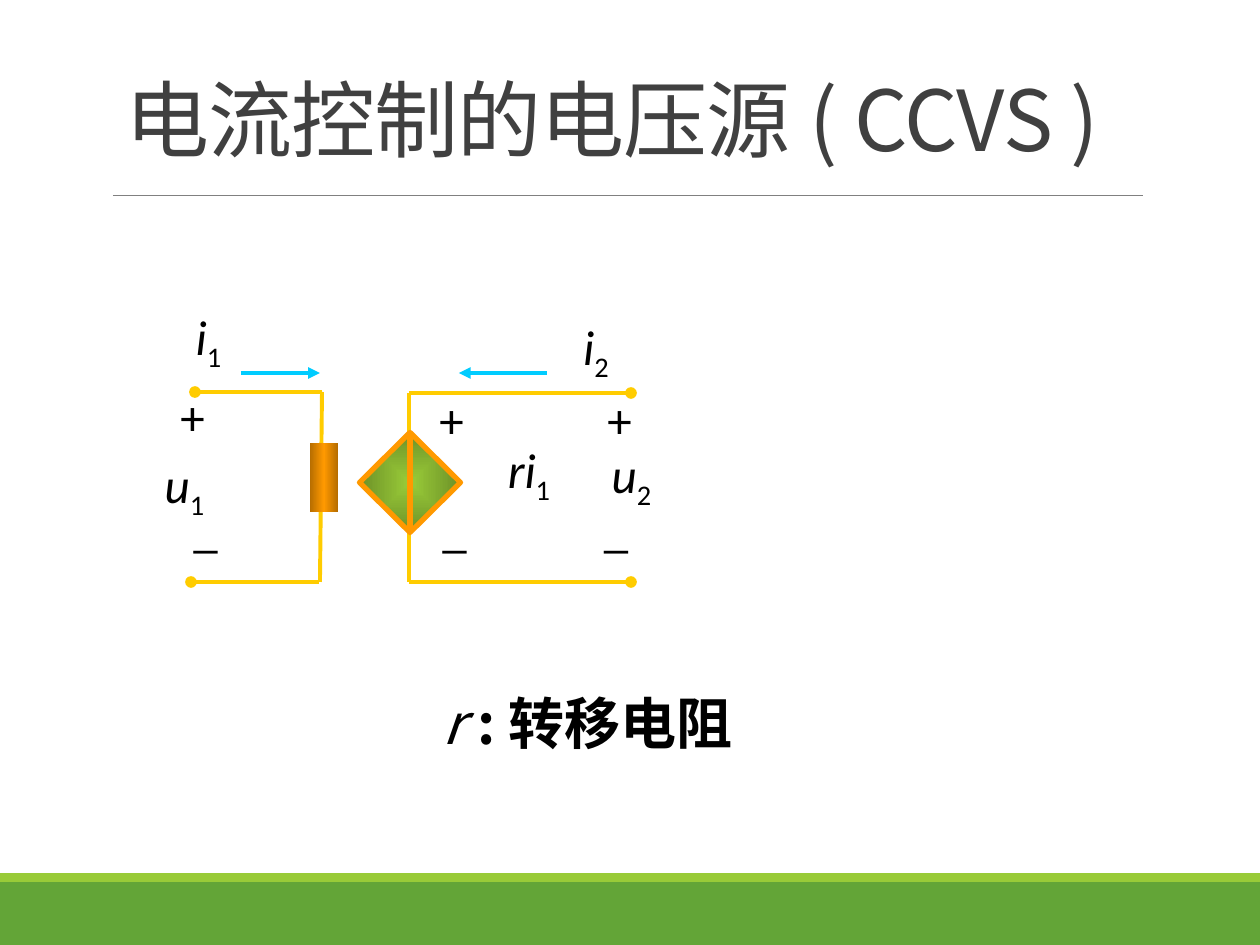
"""Build a slide showing the circuit of a current-controlled voltage source."""
from lxml import etree
from pptx import Presentation
from pptx.dml.color import RGBColor
from pptx.enum.shapes import MSO_CONNECTOR, MSO_SHAPE
from pptx.enum.text import MSO_ANCHOR, PP_ALIGN
from pptx.oxml import parse_xml
from pptx.oxml.ns import nsdecls, qn
from pptx.util import Pt

PX = 914400 / 126
LATIN = "Calibri"
CHINESE = "Noto Sans CJK SC"
BLACK = RGBColor(0, 0, 0)
TITLE_GREY = RGBColor(0x40, 0x40, 0x40)
RULE_GREY = RGBColor(0x80, 0x80, 0x80)
GREEN = RGBColor(0x63, 0xA5, 0x37)
LIME = RGBColor(0x99, 0xCB, 0x38)
DARK_LIME = RGBColor(0x6D, 0x91, 0x28)
YELLOW = RGBColor(0xFF, 0xCC, 0x00)
CYAN = RGBColor(0x00, 0xCC, 0xFF)
ORANGE = RGBColor(0xFF, 0x99, 0x00)
BROWN = RGBColor(0xB6, 0x6D, 0x00)


def emu(*lengths):
    return [round(length * PX) for length in lengths]


def add_text(frame, runs, size, font, color, align, anchor):
    box = page.shapes.add_textbox(*emu(*frame))
    box.text_frame.word_wrap = True
    box.text_frame.vertical_anchor = anchor
    para = box.text_frame.paragraphs[0]
    para.alignment = align
    para.font.size = Pt(size)
    para.font.name = font
    para.font.color.rgb = color
    for text, style in runs:
        span = para.add_run()
        span.text = text
        properties = span._r.get_or_add_rPr()
        for name, value in style.items():
            properties.set(name, value)
        for tag, face in (("a:latin", font), ("a:ea", CHINESE)):
            etree.SubElement(properties, qn(tag)).set("typeface", face)
    return para


deck = Presentation()
deck.slide_width, deck.slide_height = emu(1260, 945)
page = deck.slides.add_slide(deck.slide_layouts[6])

for top, height, color in ((882, 63, GREEN), (873, 9, LIME)):
    band = page.shapes.add_shape(MSO_SHAPE.RECTANGLE, *emu(0, top, 1260, height))
    band.shadow.inherit = False
    band.fill.solid()
    band.fill.fore_color.rgb = color
    band.line.fill.background()

lines = [
    ((113, 195, 1143, 195), RULE_GREY, 0.5, None),
    ((409, 582, 631, 582), YELLOW, 2.25, "oval"),
    ((409, 393, 631, 393), YELLOW, 2.25, "oval"),
    ((409, 393, 409, 582), YELLOW, 2.25, None),
    ((322, 392, 195, 392), YELLOW, 2.25, "oval"),
    ((322, 392, 320, 582), YELLOW, 2.25, None),
    ((319, 582, 191, 582), YELLOW, 2.25, "oval"),
    ((547, 373, 459, 373), CYAN, 2.25, "triangle"),
    ((241, 373, 320, 373), CYAN, 2.25, "triangle"),
]
for ends, color, width, tip in lines:
    wire = page.shapes.add_connector(MSO_CONNECTOR.STRAIGHT, *emu(*ends))
    wire.line.color.rgb = color
    wire.line.width = Pt(width)
    if tip:
        etree.SubElement(wire.line._get_or_add_ln(), qn("a:tailEnd")).set("type", tip)
    etree.SubElement(wire._element.spPr, qn("a:effectLst"))

radial = '<a:path path="rect"><a:fillToRect l="50000" t="50000" r="50000" b="50000"/></a:path>'
linear = '<a:lin ang="0" scaled="1"/>'
components = [
    (MSO_SHAPE.FLOWCHART_SORT, (360, 432, 100, 101), 90,
     ((0, LIME), (100, DARK_LIME)), radial, ORANGE),
    (MSO_SHAPE.RECTANGLE, (310, 443, 28, 69), 0,
     ((0, BROWN), (50, ORANGE), (100, BROWN)), linear, None),
]
for kind, frame, rotation, stops, direction, outline in components:
    component = page.shapes.add_shape(kind, *emu(*frame))
    component.rotation = rotation
    component.shadow.inherit = False
    if outline:
        component.line.color.rgb = outline
        component.line.width = Pt(3)
    else:
        component.line.fill.background()
    stop_list = "".join(
        f'<a:gs pos="{place * 1000}"><a:srgbClr val="{color}"/></a:gs>' for place, color in stops
    )
    gradient = f'<a:gradFill {nsdecls("a")} rotWithShape="1"><a:gsLst>{stop_list}</a:gsLst>{direction}</a:gradFill>'
    component._element.spPr.find(qn("a:prstGeom")).addnext(parse_xml(gradient))

labels = [
    ("ri", "1", 459, 437, 140),
    ("u", "2", 578, 442, 107),
    ("i", "2", 548, 314, 96),
    ("u", "1", 131, 452, 107),
    ("i", "1", 151, 304, 115),
    ("+", "", 588, 383, 63),
    ("+", "", 161, 380, 63),
    ("+", "", 420, 383, 63),
    ("_", "", 578, 492, 76),
    ("_", "", 181, 492, 48),
    ("_", "", 430, 492, 48),
]
for symbol, index, left, top, width in labels:
    runs = [(symbol, {"i": "1"}), (index, {"baseline": "-25000"})] if index else [(symbol, {})]
    add_text((left, top, width, 72), runs, 28, LATIN, BLACK, PP_ALIGN.CENTER, MSO_ANCHOR.MIDDLE)

add_text((359, 682, 470, 81), [("r ", {"i": "1"}), (": 转移电阻 ", {"b": "1"})],
         32, CHINESE, BLACK, PP_ALIGN.CENTER, MSO_ANCHOR.MIDDLE)
title = add_text((113, 39, 1040, 136), [("电流控制的电压源 ( CCVS )", {"spc": "-50"})],
                 48, CHINESE, TITLE_GREY, PP_ALIGN.LEFT, MSO_ANCHOR.BOTTOM)
title.line_spacing = 0.85

deck.save("out.pptx")
